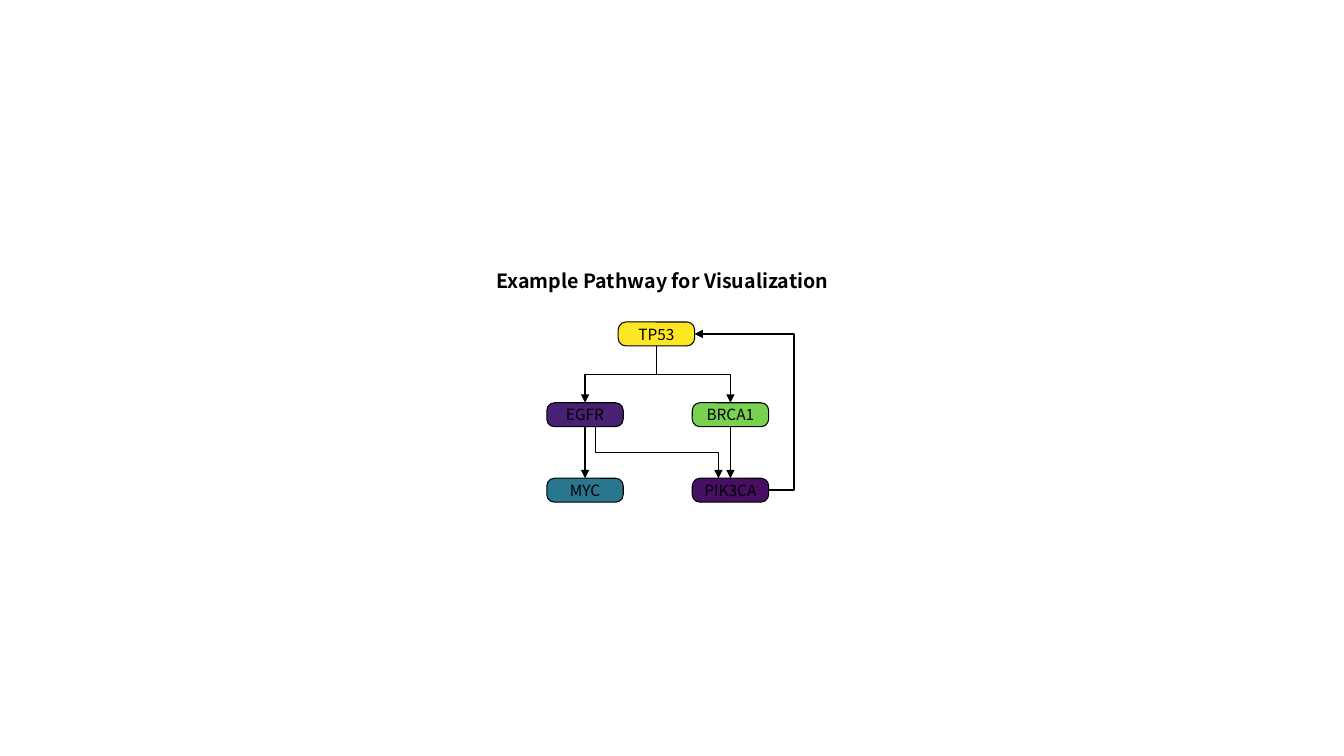
from dataclasses import dataclass

import pptx
import pptx.dml.color
import pptx.enum.shapes
import pptx.enum.text
import pptx.oxml
import pptx.oxml.ns
import pptx.util

Pt = pptx.util.Pt
FONT = "Noto Sans CJK JP"
BLACK = "000000"
BOX_W, BOX_H = 54.6, 17.1
LEFT, MIDDLE, RIGHT = 417.9, 468.9, 521.8  # box centres
ROWS = (230, 287.7, 341.6)  # box tops
BRANCH_OUT, BRANCH_IN = 425.5, 513.2


@dataclass(frozen=True)
class Gene:
    name: str
    x: float
    row: int
    fill: str


@dataclass(frozen=True)
class Arrow:
    x1: float
    row1: int
    x2: float
    row2: int


GENES = (
    Gene("TP53", MIDDLE, 0, "FDE724"),
    Gene("EGFR", LEFT, 1, "482172"),
    Gene("BRCA1", RIGHT, 1, "79D151"),
    Gene("MYC", LEFT, 2, "2A768E"),
    Gene("PIK3CA", RIGHT, 2, "470F62"),
)
ARROWS = (
    Arrow(LEFT, 1, LEFT, 2),
    Arrow(RIGHT, 1, RIGHT, 2),
    Arrow(MIDDLE, 0, LEFT, 1),
    Arrow(MIDDLE, 0, RIGHT, 1),
    Arrow(BRANCH_OUT, 1, BRANCH_IN, 2),
)


def set_color(color_format, value: str) -> None:
    color_format.rgb = pptx.dml.color.RGBColor.from_string(value)


def apply(target, values: dict) -> None:
    for name, value in values.items():
        setattr(target, name, value)


def write(sp, text: str, size: float, bold: bool, frame: dict) -> None:
    tf = sp.text_frame
    apply(tf, frame | {"word_wrap": True})
    p = tf.paragraphs[0]
    p.alignment = pptx.enum.text.PP_ALIGN.CENTER
    r = p.add_run()
    r.text = text
    apply(r.font, {"name": FONT, "size": Pt(size), "bold": bold})
    set_color(r.font.color, BLACK)


def insets(side: float, top: float) -> dict:
    return {"margin_left": Pt(side), "margin_right": Pt(side),
            "margin_top": Pt(top), "margin_bottom": Pt(top)}


def add_gene(s, gene: Gene) -> None:
    sp = s.shapes.add_shape(
        pptx.enum.shapes.MSO_SHAPE.ROUNDED_RECTANGLE,
        Pt(gene.x - BOX_W / 2), Pt(ROWS[gene.row]), Pt(BOX_W), Pt(BOX_H))
    sp.adjustments[0] = 0.32
    sp.shadow.inherit = False
    sp.fill.solid()
    set_color(sp.fill.fore_color, gene.fill)
    sp.line.width = Pt(0.75)
    set_color(sp.line.color, BLACK)
    write(sp, gene.name, 11, False, insets(2.9, 0) | {
        "vertical_anchor": pptx.enum.text.MSO_ANCHOR.MIDDLE})


def add_line(s, kind, x1: float, y1: float, x2: float, y2: float):
    line = s.shapes.add_connector(kind, Pt(x1), Pt(y1), Pt(x2), Pt(y2))
    line.line.width = Pt(1)
    set_color(line.line.color, BLACK)
    spPr = line._element.spPr
    ns = pptx.oxml.ns.nsdecls("a")
    spPr.find(pptx.oxml.ns.qn("a:ln")).append(
        pptx.oxml.parse_xml(f'<a:tailEnd {ns} type="triangle"/>'))
    spPr.append(pptx.oxml.parse_xml(f"<a:effectLst {ns}/>"))
    return line


def add_arrow(s, arrow: Arrow) -> None:
    """Run from a box's bottom to a lower box's top."""
    kinds = pptx.enum.shapes.MSO_CONNECTOR
    y1, y2 = ROWS[arrow.row1] + BOX_H, ROWS[arrow.row2]
    if arrow.x1 == arrow.x2:
        add_line(s, kinds.STRAIGHT, arrow.x1, y1, arrow.x2, y2)
        return
    # Lay the elbow sideways about its centre, then turn it upright
    cx, cy = (arrow.x1 + arrow.x2) / 2, (y1 + y2) / 2
    rightward = arrow.x2 > arrow.x1
    dx = (y2 - y1) / 2 * (-1 if rightward else 1)
    dy = abs(arrow.x2 - arrow.x1) / 2
    line = add_line(s, kinds.ELBOW, cx - dx, cy - dy, cx + dx, cy + dy)
    degrees = 270 if rightward else 90
    line._element.spPr.xfrm.set("rot", str(degrees * 60000))


def add_feedback(s) -> None:
    """Loop from PIK3CA back up to TP53, bending outside the right column."""
    line = add_line(s, pptx.enum.shapes.MSO_CONNECTOR.ELBOW,
                    RIGHT + BOX_W / 2, ROWS[2] + BOX_H / 2,
                    MIDDLE + BOX_W / 2, ROWS[0] + BOX_H / 2)
    guides = line._element.spPr.prstGeom.get_or_add_avLst()
    guides.append(pptx.oxml.parse_xml(
        f'<a:gd {pptx.oxml.ns.nsdecls("a")} name="adj1" fmla="val -34000"/>'))


def main() -> None:
    prs = pptx.Presentation()
    apply(prs, {"slide_width": Pt(960), "slide_height": Pt(540)})
    s = prs.slides.add_slide(prs.slide_layouts.get_by_name("Title Only"))

    # Title
    title = s.shapes.title
    apply(title, {"left": Pt(343.1), "top": Pt(189.3),
                  "width": Pt(260), "height": Pt(23)})
    write(title, "Example Pathway for Visualization", 14, True, insets(5.8, 2.9) | {
        "vertical_anchor": pptx.enum.text.MSO_ANCHOR.TOP,
        "auto_size": pptx.enum.text.MSO_AUTO_SIZE.NONE})

    # Genes
    for gene in GENES:
        add_gene(s, gene)

    # Arrows
    for arrow in ARROWS:
        add_arrow(s, arrow)
    add_feedback(s)

    prs.save("out.pptx")


if __name__ == "__main__":
    main()
